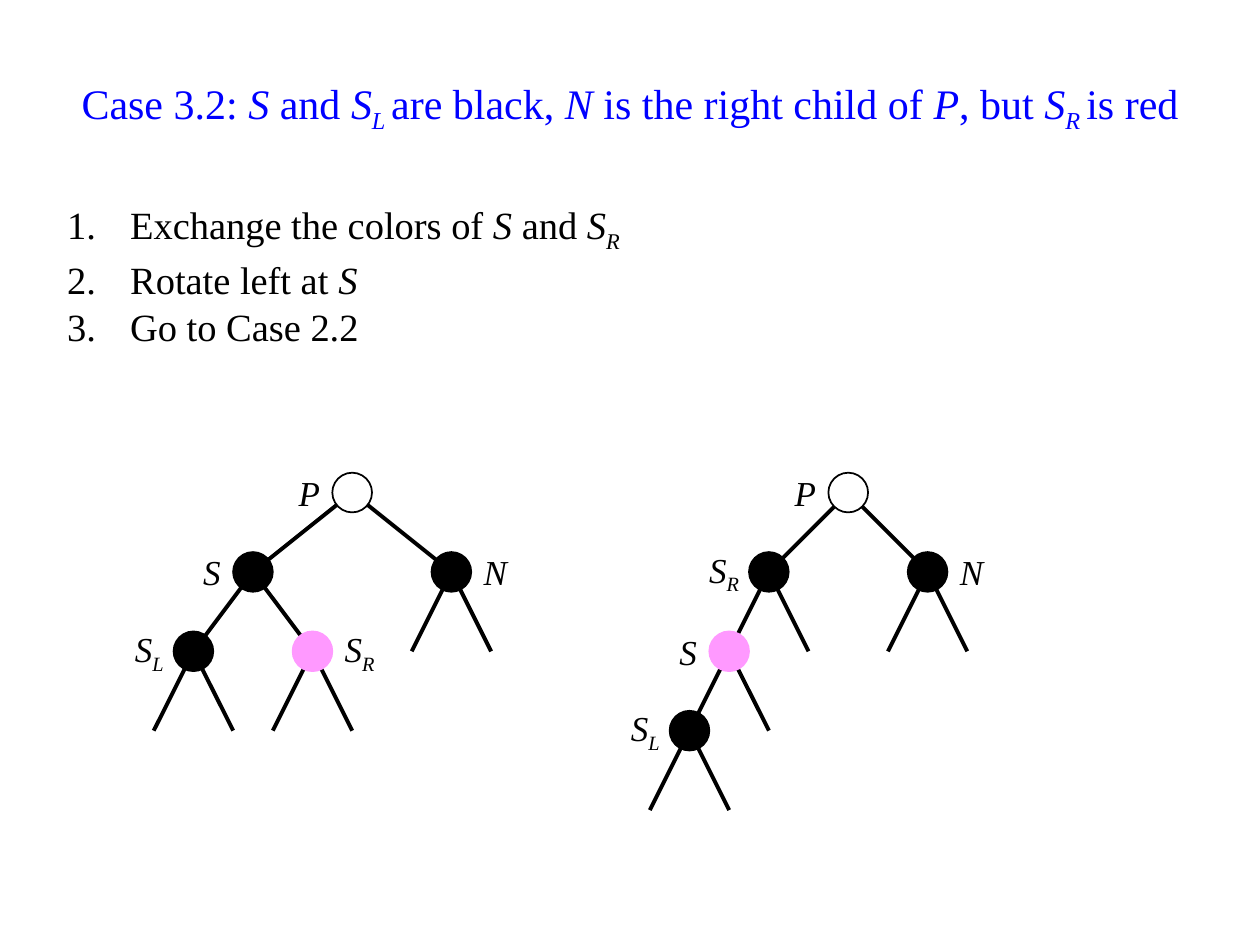
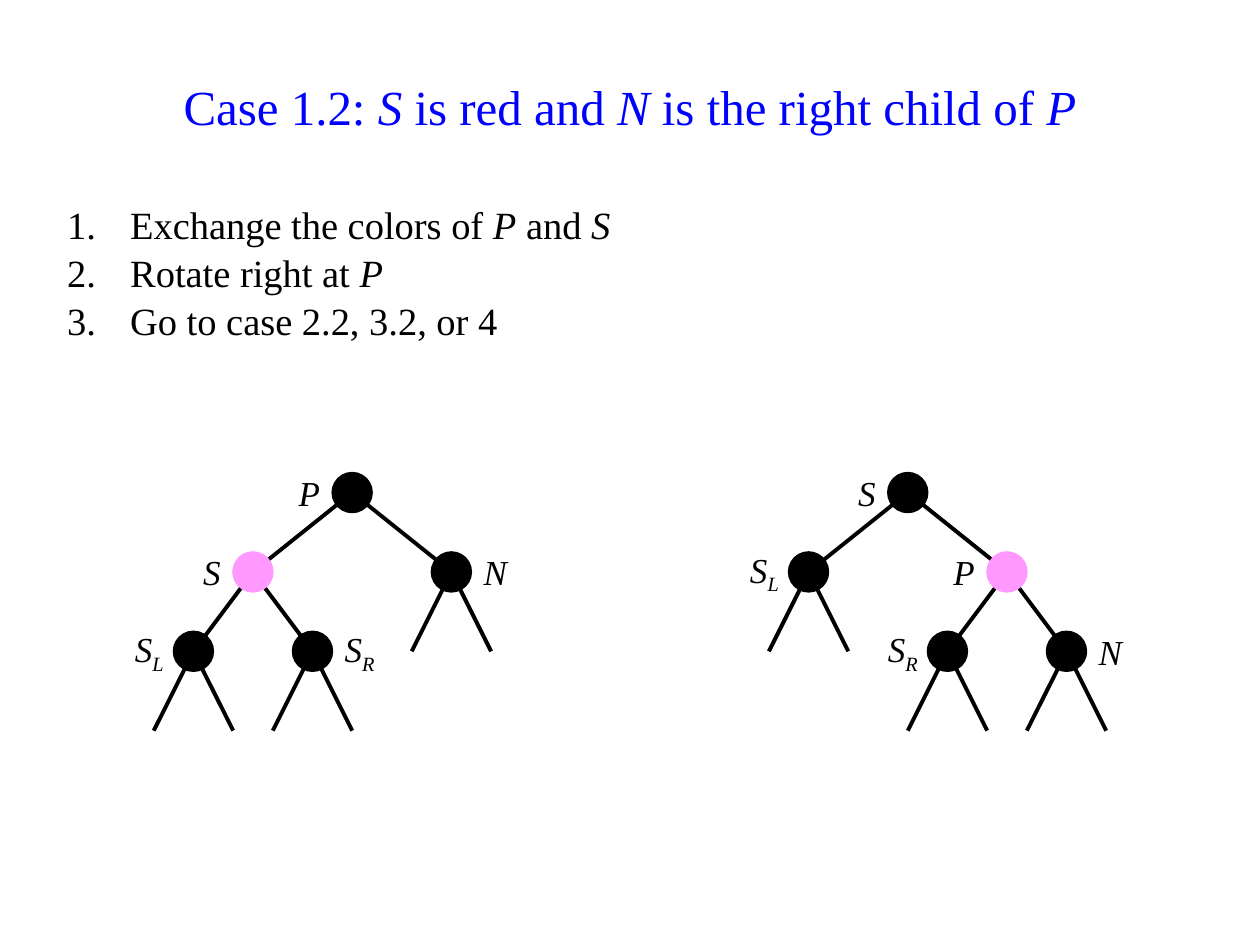
from collections import namedtuple

from lxml import etree
from pptx import Presentation
from pptx.dml.color import RGBColor
from pptx.enum import shapes, text
from pptx.oxml import ns
from pptx.util import Cm, Pt

BLUE = RGBColor(0x00, 0x00, 0xFF)
BLACK = RGBColor(0x00, 0x00, 0x00)
WHITE = RGBColor(0xFF, 0xFF, 0xFF)
PINK = RGBColor(0xFF, 0x99, 0xFF)

# Tree grid, in centimetres
ROOT_Y = 9.93
LEVEL_HEIGHT = 1.6
RADIUS = 0.4
STUB_REACH = 0.8
LABEL_WIDTH = 1.2

LEFT, RIGHT = "left", "right"
Node = namedtuple("Node", "label x level colour parent side", defaults=[LEFT])


def set_all(target, values):
    for name, value in values.items():
        setattr(target, name, value)


class TreeDeck:
    """Holds the shared style and the slide being built."""

    FONT = "Times New Roman"
    TITLE_BOX = (1.1, 0.73, 23.2, 2.8)
    STEPS_BOX = (1.1, 3.93, 23.2, 3.2)

    def __init__(self):
        self.presentation = Presentation()
        set_all(self.presentation, {"slide_width": Cm(25.4), "slide_height": Cm(19.05)})
        self.slide = None

    def add_slide(self):
        layout = self.presentation.slide_layouts[1]
        self.slide = self.presentation.slides.add_slide(layout)

    def place(self, shape, box):
        lengths = [Cm(length) for length in box]
        set_all(shape, dict(zip(("left", "top", "width", "height"), lengths)))

    def add_runs(self, paragraph, markup, size, colour):
        """Text between asterisks is italic; there, an underscore starts a subscript."""
        for index, part in enumerate(markup.split("*")):
            for depth, piece in enumerate(part.split("_")):
                if not piece:
                    continue
                run = paragraph.add_run()
                run.text = piece
                set_all(run.font, {"name": self.FONT, "size": Pt(size),
                                   "italic": index % 2 == 1})
                run.font.color.rgb = colour
                if depth:
                    run.font._element.set("baseline", "-25000")

    def title(self, markup, size):
        shape = self.slide.shapes.title
        self.place(shape, self.TITLE_BOX)
        set_all(shape.text_frame, {"auto_size": text.MSO_AUTO_SIZE.NONE,
                                   "vertical_anchor": text.MSO_ANCHOR.MIDDLE})
        paragraph = shape.text_frame.paragraphs[0]
        paragraph.alignment = text.PP_ALIGN.CENTER
        self.add_runs(paragraph, markup, size, BLUE)

    def steps(self, items):
        shape = self.slide.placeholders[1]
        self.place(shape, self.STEPS_BOX)
        frame = shape.text_frame
        frame.auto_size = text.MSO_AUTO_SIZE.NONE
        for index, item in enumerate(items):
            paragraph = frame.add_paragraph() if index else frame.paragraphs[0]
            properties = paragraph._p.get_or_add_pPr()
            properties.set("marL", str(Cm(1.27)))
            properties.set("indent", str(-Cm(1.27)))
            number = etree.SubElement(properties, ns.qn("a:buAutoNum"))
            number.set("type", "arabicPeriod")
            paragraph.space_before = Pt(1 if index else 0)
            self.add_runs(paragraph, item, 22, BLACK)

    def edge(self, start, end):
        points = [Cm(value) for value in (*start, *end)]
        line = self.slide.shapes.add_connector(shapes.MSO_CONNECTOR.STRAIGHT, *points)
        line.line.width = Pt(2.25)
        line.line.color.rgb = BLACK
        etree.SubElement(line._element.spPr, ns.qn("a:effectLst"))

    def ball(self, centre, colour):
        x, y = centre
        box = [Cm(value) for value in (x - RADIUS, y - RADIUS, 2 * RADIUS, 2 * RADIUS)]
        shape = self.slide.shapes.add_shape(shapes.MSO_SHAPE.OVAL, *box)
        shape.shadow.inherit = False
        shape.fill.solid()
        shape.fill.fore_color.rgb = colour
        shape.line.width = Pt(1)
        shape.line.color.rgb = BLACK if colour == WHITE else colour

    def label(self, centre, name, side):
        x, y = centre
        left = x - RADIUS - LABEL_WIDTH if side == LEFT else x + RADIUS
        box = (left, y - LEVEL_HEIGHT / 2, LABEL_WIDTH, LEVEL_HEIGHT)
        shape = self.slide.shapes.add_textbox(*[Cm(value) for value in box])
        set_all(shape.text_frame, {
            "word_wrap": True,
            "vertical_anchor": text.MSO_ANCHOR.MIDDLE,
            "margin_right": Cm(0.2 if "_" in name else 0.25),
        })
        paragraph = shape.text_frame.paragraphs[0]
        align = text.PP_ALIGN
        paragraph.alignment = align.RIGHT if side == LEFT else align.LEFT
        self.add_runs(paragraph, f"*{name}*", 20, BLACK)

    def tree(self, nodes):
        centres = {node.label: (node.x, ROOT_Y + node.level * LEVEL_HEIGHT)
                   for node in nodes}
        # Edges to children, and an open stub wherever a child is not drawn
        for node in nodes:
            x, y = centres[node.label]
            children = [centres[child.label] for child in nodes
                        if child.parent == node.label]
            for direction in (-1, 1):
                ends = [end for end in children if (end[0] - x) * direction > 0]
                stub = (x + direction * STUB_REACH, y + LEVEL_HEIGHT)
                self.edge((x, y), ends[0] if ends else stub)
        # Balls and labels on top
        for node in nodes:
            self.ball(centres[node.label], node.colour)
            self.label(centres[node.label], node.label, node.side)


def tree_before(p_colour, s_colour, right_colour):
    """The tree before rotation, which both cases share apart from colours."""
    return [
        Node("P", 7.1, 0, p_colour, None),
        Node("S", 5.1, 1, s_colour, "P"),
        Node("N", 9.1, 1, BLACK, "P", RIGHT),
        Node("S_L", 3.9, 2, BLACK, "S"),
        Node("S_R", 6.3, 2, right_colour, "S", RIGHT),
    ]


def main():
    deck = TreeDeck()

    # Case 3.2
    deck.add_slide()
    deck.title("Case 3.2: *S* and *S_L *are black, *N* is the right child of *P*, "
               "but *S_R *is red", 24)
    deck.steps(["Exchange the colors of *S *and *S_R*", "Rotate left at *S*",
                "Go to Case 2.2"])
    deck.tree(tree_before(WHITE, BLACK, PINK))
    deck.tree([
        Node("P", 17.1, 0, WHITE, None),
        Node("S_R", 15.5, 1, BLACK, "P"),
        Node("N", 18.7, 1, BLACK, "P", RIGHT),
        Node("S", 14.7, 2, PINK, "S_R"),
        Node("S_L", 13.9, 3, BLACK, "S"),
    ])

    # Case 1.2
    deck.add_slide()
    deck.title("Case 1.2: *S* is red and *N* is the right child of *P*", 28)
    deck.steps(["Exchange the colors of *P* and *S*", "Rotate right at *P*",
                "Go to case 2.2, 3.2, or 4"])
    deck.tree(tree_before(BLACK, PINK, BLACK))
    deck.tree([
        Node("S", 18.3, 0, BLACK, None),
        Node("S_L", 16.3, 1, BLACK, "S"),
        Node("P", 20.3, 1, PINK, "S"),
        Node("S_R", 19.1, 2, BLACK, "P"),
        Node("N", 21.5, 2, BLACK, "P", RIGHT),
    ])

    deck.presentation.save("out.pptx")


if __name__ == "__main__":
    main()
